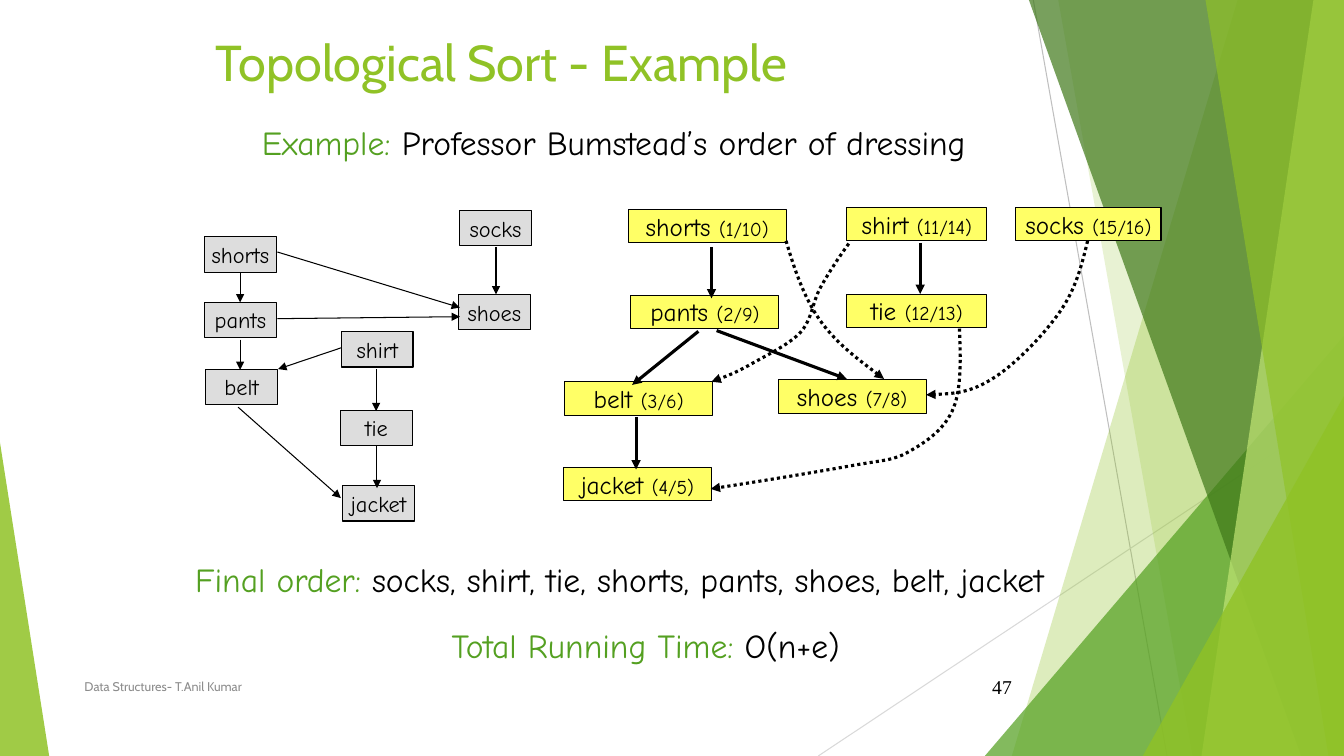
from typing import NamedTuple

from lxml import etree
from pptx import Presentation
from pptx.dml.color import RGBColor
from pptx.enum.dml import MSO_LINE
from pptx.enum.shapes import MSO_CONNECTOR, MSO_SHAPE
from pptx.enum.text import MSO_ANCHOR as Anchor, MSO_AUTO_SIZE, PP_ALIGN as Align
from pptx.oxml.ns import qn
from pptx.util import Cm, Pt

COLOURS = {
    "lime": "90C226", "green": "54A021", "forest": "3F7819", "pale": "C0E474",
    "yellow": "FFFF66", "grey": "DDDDDD", "black": "000000", "footer": "8C8C8C",
    "rule": "BFBFBF", "light rule": "D9D9D9",
}
HAND, SANS, SERIF = "Comic Neue", "Cabin", "Times New Roman"


class Box(NamedTuple):
    """A region of the slide, in centimetres."""
    left: float
    top: float
    width: float
    height: float

    def point(self, x, y):
        return Cm(self.left + x), Cm(self.top + y)

    def inner(self, x, y, width, height):
        return Box(self.left + x, self.top + y, width, height)

    def lengths(self):
        return [Cm(value) for value in self]


def rgb(name):
    return RGBColor.from_string(COLOURS[name])


def fill_glass(shape, colour, opacity):
    """Fill a shape with a see-through colour and no outline."""
    shape.shadow.inherit = False
    shape.line.fill.background()
    shape.fill.solid()
    shape.fill.fore_color.rgb = rgb(colour)
    tint = shape.fill._xPr.find(".//" + qn("a:srgbClr"))
    etree.SubElement(tint, qn("a:alpha"), val=str(opacity * 1000))


def style_line(shape, colour, width, arrow=False):
    shape.line.color.rgb = rgb(colour)
    shape.line.width = Pt(width)
    if arrow:
        etree.SubElement(shape.line._get_or_add_ln(), qn("a:tailEnd"), type="triangle")


def add_line(slide, box, ends, colour, width, arrow=False):
    x1, y1, x2, y2 = ends
    connector = slide.shapes.add_connector(
        MSO_CONNECTOR.STRAIGHT, *box.point(x1, y1), *box.point(x2, y2))
    style_line(connector, colour, width, arrow)
    etree.SubElement(connector._element.spPr, qn("a:effectLst"))


def add_outline(slide, box, points, closed):
    start, *others = [box.point(x, y) for x, y in points]
    builder = slide.shapes.build_freeform(*start)
    builder.add_line_segments(others, close=closed)
    return builder.convert_to_shape()


def add_dotted_curve(slide, box, points):
    """Draw a dotted Bezier arrow: a start, then three points to each segment."""
    curve = add_outline(slide, box, points, closed=False)
    curve.fill.background()
    curve.shadow.inherit = False
    curve.line.dash_style = MSO_LINE.ROUND_DOT
    style_line(curve, "black", 2.25, arrow=True)
    outline = curve._element.find(".//" + qn("a:path"))
    segments = outline.findall(qn("a:lnTo"))
    for first in range(0, len(segments), 3):
        bezier = etree.SubElement(outline, qn("a:cubicBezTo"))
        for segment in segments[first:first + 3]:
            bezier.append(segment[0])
            outline.remove(segment)


def write_runs(paragraph, runs, font_name):
    """Write (text, size, colour) runs, sharing whatever they have in common."""
    paragraph.font.name = font_name
    sizes, colours = ({run[i] for run in runs} for i in (1, 2))
    if len(sizes) == 1:
        paragraph.font.size = Pt(runs[0][1])
    if len(colours) == 1:
        paragraph.font.color.rgb = rgb(runs[0][2])
    for text, size, colour in runs:
        run = paragraph.add_run()
        run.text = text
        if len(sizes) > 1:
            run.font.size = Pt(size)
        if len(colours) > 1:
            run.font.color.rgb = rgb(colour)


def add_text(slide, box, runs, font_name=HAND, align=Align.LEFT, anchor=Anchor.TOP):
    frame = slide.shapes.add_textbox(*box.lengths()).text_frame
    frame.word_wrap = True
    frame.vertical_anchor = anchor
    frame.paragraphs[0].alignment = align
    write_runs(frame.paragraphs[0], runs, font_name)


def add_node(slide, box, fill, runs):
    node = slide.shapes.add_shape(MSO_SHAPE.RECTANGLE, *box.lengths())
    node.shadow.inherit = False
    node.fill.solid()
    node.fill.fore_color.rgb = rgb(fill)
    style_line(node, "black", 0.75)
    frame = node.text_frame
    frame.word_wrap = False
    frame.vertical_anchor = Anchor.MIDDLE
    frame.paragraphs[0].alignment = Align.CENTER
    write_runs(frame.paragraphs[0], runs, HAND)


def add_backdrop(slide, box):
    width, height = box.width, box.height

    def panel(top_x, bottom_x, colour, opacity):
        corners = [(top_x, 0), (width, 0), (width, height), (bottom_x, height)]
        fill_glass(add_outline(slide, box, corners, closed=True), colour, opacity)

    def triangle(left, top, right, apex, colour, opacity):
        place = box.inner(left, top, right - left, height - top)
        shape = slide.shapes.add_shape(MSO_SHAPE.ISOSCELES_TRIANGLE, *place.lengths())
        shape.adjustments[0] = apex
        fill_glass(shape, colour, opacity)

    add_line(slide, box, (26.04, 0, 29.41, height), "rule", 0.75)
    add_line(slide, box, (width, 10.24, 20.62, height), "light rule", 0.75)
    panel(31.19, 25.5, "lime", 30)
    panel(26.67, 30.05, "lime", 20)
    triangle(24.82, 8.46, width, 1, "green", 72)
    panel(25.93, 32.79, "forest", 70)
    panel(33.1, 30.28, "pale", 70)
    panel(30.38, 33.48, "lime", 65)
    triangle(28.8, 9.98, width, 1, "lime", 80)
    triangle(0, 11.15, 1.24, 0, "lime", 85)


def add_title(slide, box, text):
    title = slide.shapes.title
    title.left, title.top, title.width, title.height = box.lengths()
    frame = title.text_frame
    frame.auto_size = MSO_AUTO_SIZE.NONE
    frame.vertical_anchor = Anchor.TOP
    frame.paragraphs[0].alignment = Align.LEFT
    write_runs(frame.paragraphs[0], [(text, 36, "lime")], SANS)


def add_clothes_graph(slide, box):
    nodes = {
        "shorts": (0, 0.66), "pants": (0, 2.31), "belt": (0.03, 3.99),
        "shirt": (3.45, 3.05), "tie": (3.43, 5.03), "jacket": (3.48, 6.93),
        "socks": (6.43, 0), "shoes": (6.4, 2.11),
    }
    edges = [
        (1.83, 1.04, 6.43, 2.44), (7.34, 0.91, 7.34, 2.11), (0.89, 1.57, 0.89, 2.31),
        (0.89, 3.25, 0.89, 4.01), (1.83, 2.72, 6.43, 2.67), (3.45, 3.45, 1.85, 3.99),
        (4.32, 3.99, 4.32, 5.05), (4.34, 5.92, 4.34, 6.99), (0.84, 4.95, 3.43, 7.24),
    ]
    for name, (x, y) in nodes.items():
        add_node(slide, box.inner(x, y, 1.8, 0.89), "grey", [(name, 16, "black")])
    for ends in edges:
        add_line(slide, box, ends, "black", 0.75, arrow=True)


def add_search_forest(slide, box):
    """Draw the depth-first forest with its discovery and finishing times."""
    nodes = [
        ("shorts", "1/10", 1.63, 0.05, 3.99), ("pants", "2/9", 1.7, 2.21, 3.73),
        ("shirt", "11/14", 7.14, 0, 3.53), ("socks", "15/16", 11.4, 0, 3.66),
        ("belt", "3/6", 0.03, 4.39, 3.73), ("shoes", "7/8", 5.41, 4.34, 3.73),
        ("jacket", "4/5", 0, 6.55, 3.73), ("tie", "12/13", 7.14, 2.18, 3.53),
    ]
    tree_edges = [
        (3.73, 0.99, 3.73, 2.29), (3.4, 3.12, 1.73, 4.47), (3.86, 3.1, 7.14, 4.32),
        (1.83, 5.28, 1.83, 6.6), (8.99, 0.89, 8.99, 2.18),
    ]
    cross_edges = [
        [(5.61, 0.84), (5.82, 1.55), (6.05, 2.24), (6.45, 2.82),
         (6.86, 3.4), (7.47, 3.86), (8.08, 4.32)],
        [(7.19, 0.91), (6.93, 1.27), (6.68, 1.65), (6.48, 2.01),
         (6.27, 2.39), (6.27, 2.82), (5.97, 3.15), (5.66, 3.48), (5, 3.78),
         (4.65, 3.99), (4.27, 4.19), (4.01, 4.29), (3.73, 4.39)],
        [(9.98, 3.05), (10.01, 3.81), (10.03, 4.55), (9.83, 5.05),
         (9.63, 5.56), (9.17, 5.89), (8.76, 6.12), (8.33, 6.38), (8.13, 6.35),
         (7.29, 6.5), (6.45, 6.65), (5.08, 6.88), (3.71, 7.09)],
        [(13.21, 0.84), (13.06, 1.47), (12.9, 2.08), (12.5, 2.64),
         (12.09, 3.23), (11.35, 3.99), (10.8, 4.32), (10.24, 4.67), (9.7, 4.7),
         (9.14, 4.72)],
    ]
    for name, times, x, y, width in nodes:
        runs = [(name + " ", 18, "black"), (f"({times})", 14, "black")]
        add_node(slide, box.inner(x, y, width, 0.84), "yellow", runs)
    for ends in tree_edges:
        add_line(slide, box, ends, "black", 2.25, arrow=True)
    for points in cross_edges:
        add_dotted_curve(slide, box, points)


def add_statement(slide, box, label, text):
    add_text(slide, box, [(label, 24, "green"), (text, 24, "black")])


def main():
    presentation = Presentation()
    presentation.slide_width, presentation.slide_height = Cm(33.87), Cm(19.05)
    slide = presentation.slides.add_slide(presentation.slide_layouts[5])
    add_backdrop(slide, Box(0, 0, 33.87, 19.05))
    add_title(slide, Box(5.18, 0.66, 22.76, 1.93), "Topological Sort - Example")
    add_statement(slide, Box(6.35, 2.95, 19.96, 1.27),
                  "Example: ", "Professor Bumstead’s order of dressing")
    add_clothes_graph(slide, Box(5.16, 5.31, 8.23, 7.82))
    add_search_forest(slide, Box(14.2, 5.23, 15.06, 7.39))
    add_statement(slide, Box(4.67, 13.97, 24.99, 1.27),
                  "Final order:", " socks, shirt, tie, shorts, pants, shoes, belt, jacket")
    add_statement(slide, Box(11.13, 15.62, 11.15, 1.27), "Total Running Time: ", "O(n+e)")
    add_text(slide, Box(1.88, 16.79, 17.5, 1.02),
             [("Data Structures- T.Anil Kumar", 9, "footer")], SANS, anchor=Anchor.MIDDLE)
    add_text(slide, Box(23.85, 16.79, 1.9, 1.02), [("47", 14, "black")], SERIF,
             Align.RIGHT, Anchor.MIDDLE)
    presentation.save("out.pptx")


if __name__ == "__main__":
    main()
